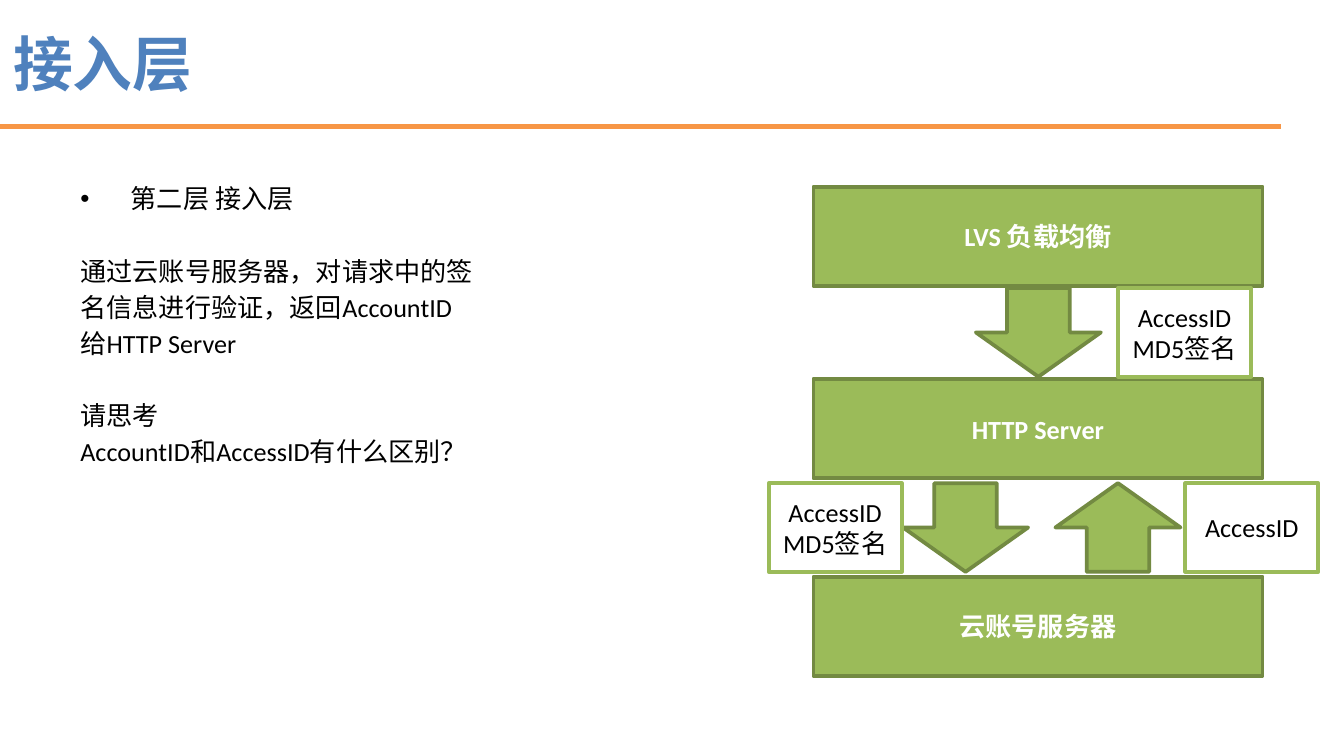
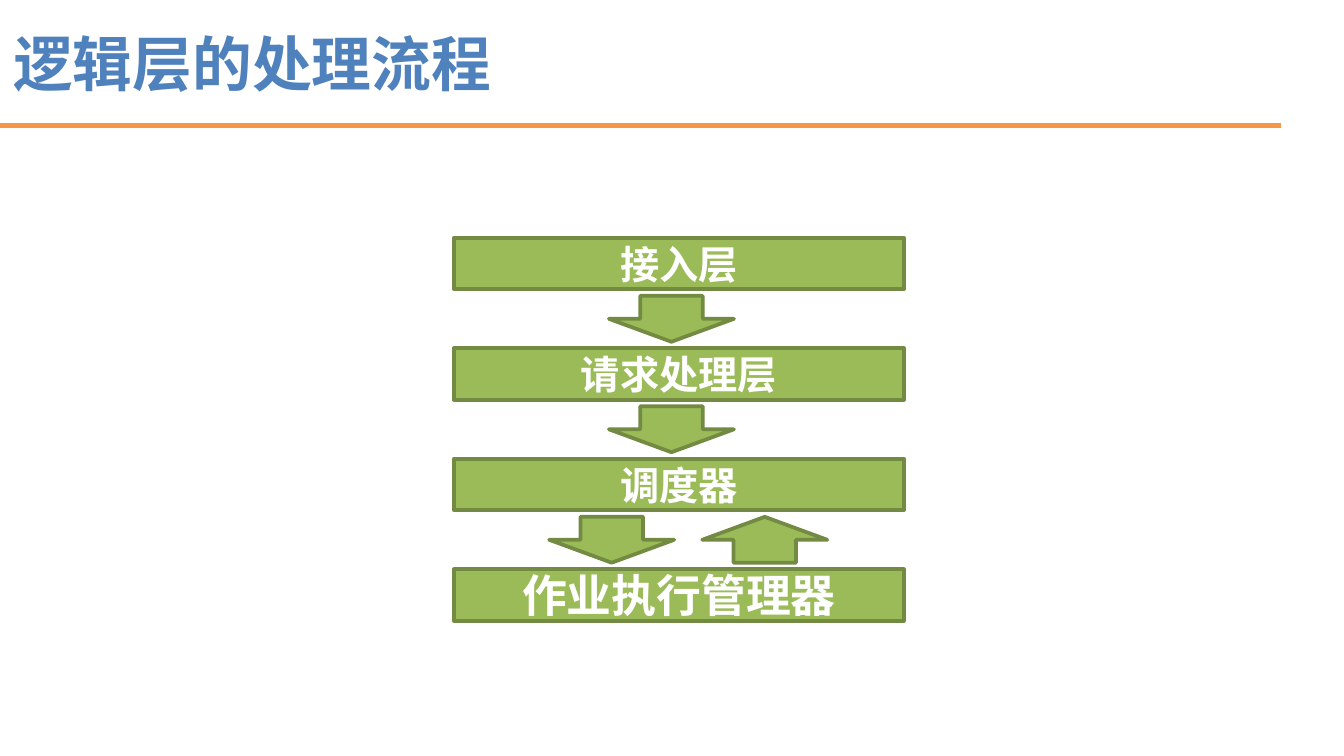
from collections import namedtuple
from lxml.etree import SubElement
from pptx import Presentation
from pptx.dml.color import RGBColor
from pptx.enum.shapes import MSO_CONNECTOR as Connector, MSO_SHAPE as Shape
from pptx.enum.text import MSO_ANCHOR as Anchor, PP_ALIGN as Align
from pptx.oxml.ns import qn
from pptx.util import Pt

COLORS = {
    "title": "4F81BD",
    "rule": "F79646",
    "block": "9BBB59",
    "block_edge": "738A42",
    "paper": "FFFFFF",
    "ink": "000000",
}
TITLE_FONT = "Noto Sans CJK SC"
BODY_FONT = "Calibri"
BODY_SIZE = 14
ARROW_WIDTH = 67
LABEL_WIDTH = 71.3

Box = namedtuple("Box", "left top width height")
Arrow = namedtuple("Arrow", "gap x up")
Label = namedtuple("Label", "gap x lines")


def color(name):
    return RGBColor.from_string(COLORS[name])


def add_run(paragraph, text, size, ink, bold=False, face=BODY_FONT):
    run = paragraph.add_run()
    run.text = text
    font = run.font
    font.name, font.size, font.bold = face, Pt(size), bold
    font.color.rgb = color(ink)
    props = run._r.get_or_add_rPr()
    props.set("lang", "zh-CN")
    SubElement(props, qn("a:ea")).set("typeface", face)


def next_paragraph(frame, index):
    return frame.add_paragraph() if index else frame.paragraphs[0]


def add_text_frame(slide, box):
    frame = slide.shapes.add_textbox(*map(Pt, box)).text_frame
    frame.word_wrap = True
    return frame


def add_header(slide, title, box):
    frame = add_text_frame(slide, box)
    frame.vertical_anchor = Anchor.MIDDLE
    add_run(frame.paragraphs[0], title, 32, "title", True, TITLE_FONT)
    bottom = Pt(box.top + box.height)
    rule = slide.shapes.add_connector(
        Connector.STRAIGHT, Pt(box.left), bottom, Pt(box.left + 686), bottom)
    rule.line.color.rgb = color("rule")
    rule.line.width = Pt(2.75)
    SubElement(rule._element.spPr, qn("a:effectLst"))


def add_body(slide, box, groups):
    frame = add_text_frame(slide, box)
    lines = [(text, 22 if first else 2.5)
             for group in groups
             for first, text in zip([True] + [False] * len(group), group)]
    for index, (text, gap) in enumerate(lines):
        paragraph = next_paragraph(frame, index)
        if index:
            paragraph.space_before = Pt(gap)
            paragraph.alignment = Align.JUSTIFY
        else:
            props = paragraph._p.get_or_add_pPr()
            props.set("marL", str(Pt(27)))
            props.set("indent", str(-Pt(27)))
            SubElement(props, qn("a:buFont")).set("typeface", "Arial")
            SubElement(props, qn("a:buChar")).set("char", "•")
        add_run(paragraph, text, BODY_SIZE, "ink")


def add_block(slide, kind, box, fill="block", edge="block_edge",
              lines=(), size=BODY_SIZE, ink="paper", bold=True):
    block = slide.shapes.add_shape(kind, *map(Pt, box))
    block.shadow.inherit = False
    block.fill.solid()
    block.fill.fore_color.rgb = color(fill)
    block.line.color.rgb = color(edge)
    block.line.width = Pt(2)
    frame = block.text_frame
    frame.word_wrap = True
    frame.vertical_anchor = Anchor.MIDDLE
    frame.margin_left = frame.margin_right = Pt(5)
    frame.margin_top = frame.margin_bottom = Pt(3)
    for index, text in enumerate(lines):
        paragraph = next_paragraph(frame, index)
        paragraph.alignment = Align.CENTER
        add_run(paragraph, text, size, ink, bold)
    return block


def add_flow(slide, box, steps, pitches, step_height, arrow_height, arrows, labels=()):
    tops = [box.top + sum(pitches[:index]) for index in range(len(steps))]
    for top, (text, size) in zip(tops, steps):
        add_block(slide, Shape.RECTANGLE, Box(box.left, top, box.width, step_height),
                  lines=[text], size=size)

    def in_gap(gap, x, width):
        middle = (tops[gap] + step_height + tops[gap + 1]) / 2
        return Box(box.left + x, middle - arrow_height / 2, width, arrow_height)

    for arrow in arrows:
        shape = add_block(slide, Shape.DOWN_ARROW, in_gap(arrow.gap, arrow.x, ARROW_WIDTH))
        shape.rotation = 180 if arrow.up else 0
    for label in labels:
        add_block(slide, Shape.RECTANGLE, in_gap(label.gap, label.x, LABEL_WIDTH),
                  "paper", "block", label.lines, ink="ink", bold=False)


def build_access_slide(slide, page):
    add_header(slide, "接入层", Box(0, 0, page.width * 0.9, 67.6))
    add_body(slide, Box(36, 94.4, page.width * 0.9, 267), [
        ["第二层 接入层"],
        ["通过云账号服务器，对请求中的签", "名信息进行验证，返回AccountID", "给HTTP Server"],
        ["请思考", "AccountID和AccessID有什么区别？"],
    ])
    signed = ["AccessID", "MD5签名"]
    add_flow(
        slide, Box(435.8, 100, 240.6, 262),
        [(text, BODY_SIZE) for text in ("LVS 负载均衡", "HTTP Server", "云账号服务器")],
        [103, 106], 53.2, 47.5,
        [Arrow(0, 87, False), Arrow(1, 48, False), Arrow(1, 129.6, True)],
        [Label(0, 163.2, signed), Label(1, -24, signed), Label(1, 199.2, ["AccessID"])])


def build_logic_slide(slide, page):
    add_header(slide, "逻辑层的处理流程", Box(0, 0, page.width * 0.9, 67.2))
    add_flow(
        slide, Box(243.2, 127.4, 241, 205),
        [("接入层", 21), ("请求处理层", 21), ("调度器", 21), ("作业执行管理器", 24)],
        [59.2] * 3, 27.6, 24.6,
        [Arrow(0, 83, False), Arrow(1, 83, False), Arrow(2, 51, False), Arrow(2, 133, True)])


def main():
    page = Box(0, 0, 720, 405)
    deck = Presentation()
    deck.slide_width, deck.slide_height = Pt(page.width), Pt(page.height)
    for build in (build_access_slide, build_logic_slide):
        build(deck.slides.add_slide(deck.slide_layouts[6]), page)
    deck.save("out.pptx")


if __name__ == "__main__":
    main()
